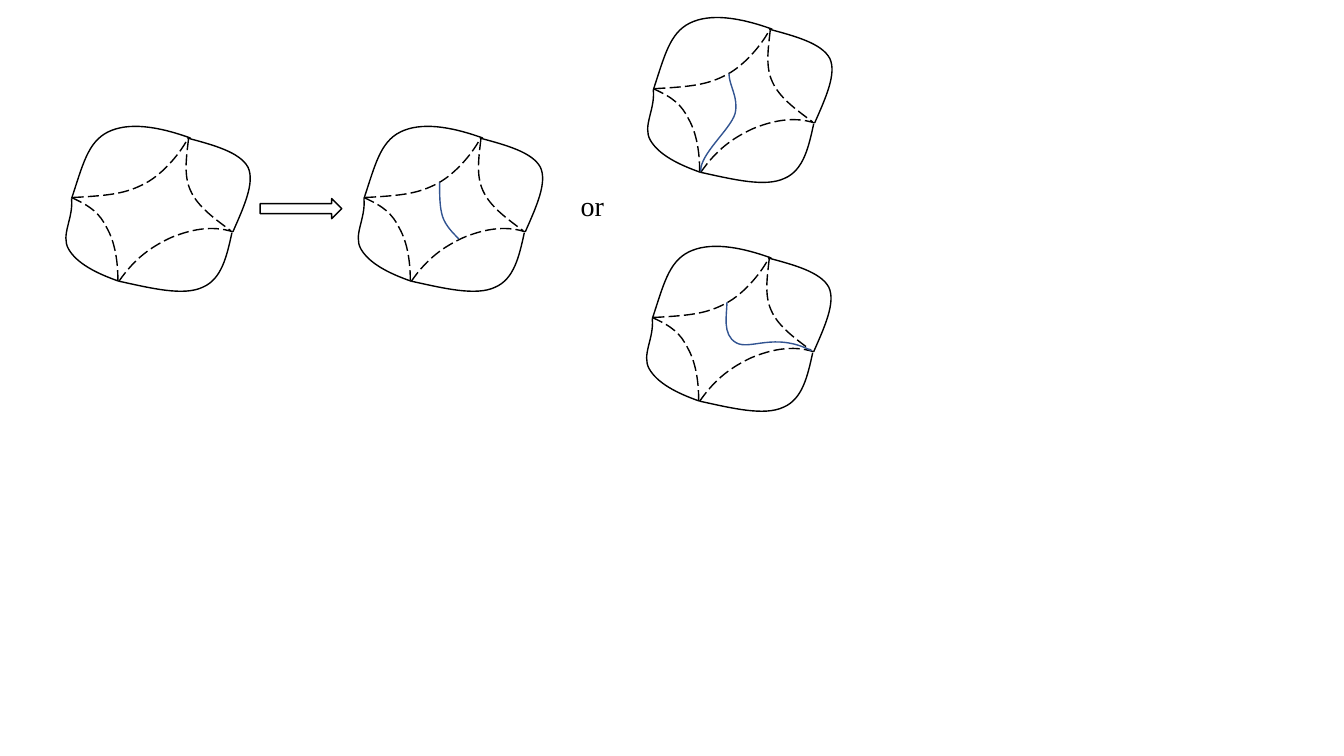
from dataclasses import dataclass

from lxml import etree
from pptx import Presentation
from pptx import util as u
from pptx.dml.color import RGBColor
from pptx.enum import dml, shapes, text
from pptx.oxml.ns import qn

PX = 9144
COLOURS = {"ink": "000000", "cut": "325491"}
FONT = {"name": "Times New Roman", "size": u.Pt(20)}
FRAME = {
    "word_wrap": False,
    "auto_size": text.MSO_AUTO_SIZE.SHAPE_TO_FIT_TEXT,
}
Point = tuple[int, int]


@dataclass(frozen=True)
class Curve:
    points: list[Point]
    colour: str = "ink"
    dashed: bool = False


@dataclass(frozen=True)
class Region:
    left: int
    top: int
    cuts: tuple[Curve, ...] = ()


REGION_CURVES = (
    Curve([(6, 72), (17, 39), (22, 16), (42, 6), (62, -4), (91, 0), (124, 12)]),
    Curve([(7, 71), (45, 69), (60, 67), (79, 57), (98, 47), (116, 24), (122, 11)], dashed=True),
    Curve([(6, 71), (26, 80), (34, 87), (41, 101), (49, 115), (52, 134), (52, 153)], dashed=True),
    Curve([(53, 154), (69, 131), (85, 120), (104, 111), (123, 103), (145, 98), (166, 105)], dashed=True),
    Curve([(122, 13), (120, 31), (117, 49), (124, 64), (131, 80), (148, 92), (164, 104)], dashed=True),
    Curve([(121, 12), (147, 19), (173, 26), (181, 41), (188, 56), (177, 80), (166, 105)]),
    Curve([(6, 72), (8, 92), (-5, 108), (3, 122), (11, 136), (30, 146), (53, 154)]),
    Curve([(165, 106), (160, 129), (155, 152), (136, 160), (117, 169), (85, 161), (53, 154)]),
)
SIDE_CUT = Curve([(81, 56), (81, 68), (81, 81), (84, 90), (87, 99), (94, 106), (100, 112)], "cut")
LOWER_CORNER_CUT = Curve([(81, 56), (81, 68), (91, 80), (87, 96), (82, 112), (52, 136), (53, 153)], "cut")
RIGHT_CORNER_CUT = Curve([(80, 56), (80, 68), (75, 88), (89, 96), (103, 104), (127, 85), (164, 104)], "cut")
REGIONS = (
    Region(355, 125, (SIDE_CUT,)),
    Region(642, 17, (LOWER_CORNER_CUT,)),
    Region(641, 244, (RIGHT_CORNER_CUT,)),
    Region(65, 125),
)


def curve_range(values: list[int]) -> tuple[int, int]:
    samples = []
    for start in range(0, len(values) - 1, 3):
        a, b, c, d = values[start:start + 4]
        for step in range(41):
            t = step / 40
            s = 1 - t
            samples.append(a * s**3 + 3 * b * s * s * t + 3 * c * s * t * t + d * t**3)
    return round(min(samples)), round(max(samples))


def style_outline(shape, colour: str, dashed: bool = False) -> None:
    shape.shadow.inherit = False
    shape.fill.background()
    shape.line.color.rgb = RGBColor.from_string(COLOURS[colour])
    shape.line.width = u.Pt(1)
    if dashed:
        shape.line.dash_style = dml.MSO_LINE.LONG_DASH


def draw_curve(page, curve: Curve, left: int, top: int) -> None:
    min_x, max_x = curve_range([x for x, _ in curve.points])
    min_y, max_y = curve_range([y for _, y in curve.points])
    builder = page.shapes.build_freeform(left + min_x, top + min_y, scale=PX)
    builder.add_line_segments([(left + max_x, top + max_y)], close=False)
    shape = builder.convert_to_shape()
    outline = next(shape.element.iter(qn("a:path")))
    for child in list(outline):
        outline.remove(child)
    groups = [("a:moveTo", curve.points[:1])]
    groups += [("a:cubicBezTo", curve.points[i:i + 3]) for i in range(1, len(curve.points), 3)]
    for tag, points in groups:
        command = etree.SubElement(outline, qn(tag))
        for x, y in points:
            etree.SubElement(command, qn("a:pt"), x=str(x - min_x), y=str(y - min_y))
    style_outline(shape, curve.colour, curve.dashed)


def draw_region(page, region: Region) -> None:
    for curve in REGION_CURVES + region.cuts:
        draw_curve(page, curve, region.left, region.top)


def draw_arrow(page, left: int, top: int, width: int, height: int) -> None:
    arrow = page.shapes.add_shape(
        shapes.MSO_SHAPE.RIGHT_ARROW, left * PX, top * PX, width * PX, height * PX
    )
    style_outline(arrow, "ink")


def draw_label(page, wording: str, left: int, top: int, width: int, height: int) -> None:
    box = page.shapes.add_textbox(left * PX, top * PX, width * PX, height * PX)
    for name, value in FRAME.items():
        setattr(box.text_frame, name, value)
    span = box.text_frame.paragraphs[0].add_run()
    span.text = wording
    for name, value in FONT.items():
        setattr(span.font, name, value)
    span.font.color.rgb = RGBColor.from_string(COLOURS["ink"])


def main() -> None:
    deck = Presentation()
    deck.slide_width, deck.slide_height = 1333 * PX, 750 * PX
    page = deck.slides.add_slide(deck.slide_layouts[6])
    for region in REGIONS:
        draw_region(page, region)
    draw_arrow(page, 258, 197, 81, 20)
    draw_label(page, "or", 566, 182, 44, 44)
    deck.save("out.pptx")


if __name__ == "__main__":
    main()
